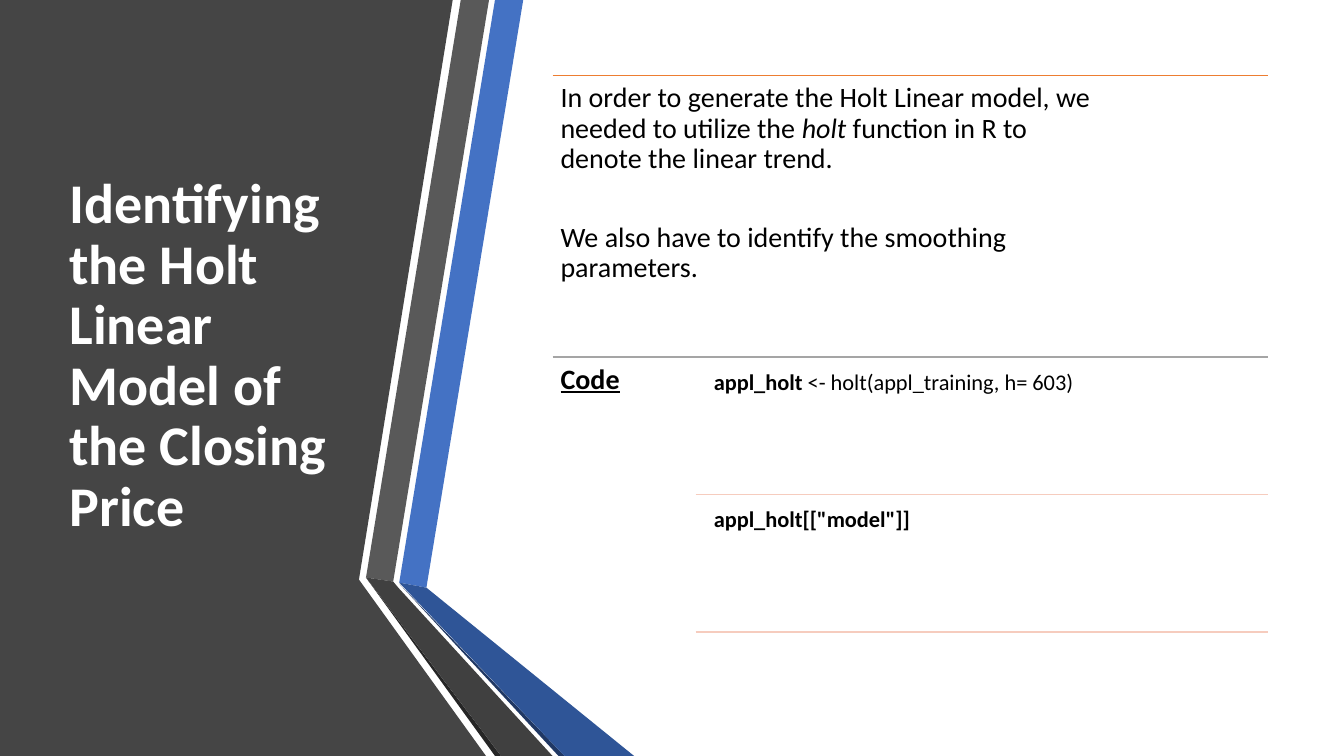
from dataclasses import dataclass

from lxml.etree import SubElement
from pptx import Presentation
from pptx.dml.color import RGBColor as Color
from pptx.enum.shapes import MSO_CONNECTOR as Connector
from pptx.enum.text import MSO_ANCHOR as Anchor, MSO_AUTO_SIZE as AutoSize, PP_ALIGN as Align
from pptx.oxml.ns import qn
from pptx.util import Inches, Pt


@dataclass(frozen=True)
class Theme:
    font: str = "Calibri"
    title_size: int = 40
    text_size: int = 20
    code_size: int = 16
    title: str = "FFFFFF"
    text: str = "000000"
    top_rule: str = "ED7D31"
    middle_rule: str = "A5A5A5"
    code_rule: str = "F6CCBE"
    panel: str = "454545"
    blue: str = "4472C4"
    blue_fold: str = "2F5597"
    blue_edge: str = "203864"
    gray: str = "595959"
    gray_fold: str = "404040"
    gray_edge: str = "262626"


THEME = Theme()

# Content: each paragraph is a list of (text, style letters: b, i, u)
TITLE = "Identifying the Holt Linear Model of the Closing Price"
INTRO = [
    [("In order to generate the Holt Linear model, we needed to utilize the ", ""),
     ("holt", "i"), (" function in R to denote the linear trend.", "")],
    [("We also have to identify the smoothing parameters.", "")],
]
CODE_LABEL = [[("Code", "bu")]]
CODE_LINES = [
    [[("appl_holt ", "b"), ("<- holt(appl_training, h= 603)", "")]],
    [[('appl_holt[["model"]]', "b")]],
]

# Side panel and folded ribbons: (colour, outline points)
RIBBONS = [
    (THEME.panel, [(0, 0), (4.49, 0), (3.56, 5.75), (4.82, 7.5), (0, 7.5)]),
    (THEME.blue, [(3.96, 5.78), (4.23, 5.83), (5.19, 0), (4.91, 0)]),
    (THEME.gray, [(4.85, 0), (4.57, 0), (3.63, 5.73), (3.9, 5.77)]),
    (THEME.gray_edge, [(3.63, 5.73), (4.91, 7.5), (4.97, 7.5)]),
    (THEME.blue_edge, [(3.96, 5.79), (5.54, 7.5), (5.6, 7.5)]),
    (THEME.blue_fold, [(3.96, 5.78), (5.6, 7.5), (6.29, 7.5), (4.23, 5.83)]),
    (THEME.gray_fold, [(3.63, 5.73), (4.97, 7.5), (5.48, 7.5), (3.95, 5.83), (3.9, 5.77)]),
]

# Layout of the right-hand side
LEFT, RIGHT, TOP = 5.48, 12.58, 0.75
SECTION_HEIGHT = 2.79
CODE_TOP = TOP + SECTION_HEIGHT
CODE_LEFT = 6.9
CODE_INDENT, CODE_OFFSET = 0.11, 0.07
CODE_HEIGHT, CODE_STEP = 1.3, 1.365


def add_ribbon(page, color, points):
    corners = [(Inches(x), Inches(y)) for x, y in points]
    builder = page.shapes.build_freeform(*corners[0])
    builder.add_line_segments(corners[1:], close=True)
    ribbon = builder.convert_to_shape()
    ribbon.shadow.inherit = False
    ribbon.fill.solid()
    ribbon.fill.fore_color.rgb = Color.from_string(color)
    ribbon.line.fill.background()


def add_rule(page, left, y, color):
    rule = page.shapes.add_connector(
        Connector.STRAIGHT, Inches(left), Inches(y), Inches(RIGHT), Inches(y))
    rule.line.color.rgb = Color.from_string(color)
    rule.line.width = Pt(1)
    SubElement(rule.element.spPr, qn("a:effectLst"))


def style_paragraph(para, size, color):
    para.line_spacing = 0.9
    para.font.name = THEME.font
    para.font.size = Pt(size)
    para.font.color.rgb = Color.from_string(color)


def add_text(page, place, paragraphs, size, inset, gap=0):
    box = page.shapes.add_textbox(*map(Inches, place))
    frame = box.text_frame
    frame.word_wrap = True
    frame.margin_left = frame.margin_right = Inches(inset)
    frame.margin_top = frame.margin_bottom = Inches(inset)
    for index, spans in enumerate(paragraphs):
        para = frame.add_paragraph() if index else frame.paragraphs[0]
        style_paragraph(para, size, THEME.text)
        if index:
            para.space_before = Pt(gap)
        for text, style in spans:
            span = para.add_run()
            span.text = text
            span.font.bold = "b" in style
            span.font.italic = "i" in style
            span.font.underline = "u" in style


def add_title(page):
    title = page.shapes.title
    title.left, title.top, title.width, title.height = map(Inches, (0.59, 0.75, 3.04, 5.58))
    frame = title.text_frame
    frame.text = TITLE
    frame.word_wrap = True
    frame.auto_size = AutoSize.NONE
    frame.vertical_anchor = Anchor.MIDDLE
    para = frame.paragraphs[0]
    para.alignment = Align.LEFT
    style_paragraph(para, THEME.title_size, THEME.title)
    para.font.bold = True
    # Bring the title in front of the panel
    title.element.getparent().append(title.element)


def main():
    deck = Presentation()
    deck.slide_width, deck.slide_height = Inches(13.33), Inches(7.5)
    page = deck.slides.add_slide(deck.slide_layouts[5])

    # Panel, ribbons and title
    for color, points in RIBBONS:
        add_ribbon(page, color, points)
    add_title(page)

    # Introduction
    add_rule(page, LEFT, TOP, THEME.top_rule)
    add_text(page, (LEFT, TOP, 5.64, SECTION_HEIGHT), INTRO, THEME.text_size, 0.08, gap=35)

    # Code label and code lines, each closed by a rule
    add_rule(page, LEFT, CODE_TOP, THEME.middle_rule)
    add_text(page, (LEFT, CODE_TOP, CODE_LEFT - LEFT, SECTION_HEIGHT),
             CODE_LABEL, THEME.text_size, 0.08)
    code_left = CODE_LEFT + CODE_INDENT
    for index, code in enumerate(CODE_LINES):
        top = CODE_TOP + index * CODE_STEP
        add_text(page, (code_left, top + CODE_OFFSET, RIGHT - code_left, CODE_HEIGHT),
                 code, THEME.code_size, 0.07)
        add_rule(page, CODE_LEFT, top + CODE_STEP, THEME.code_rule)

    deck.save("out.pptx")


if __name__ == "__main__":
    main()
